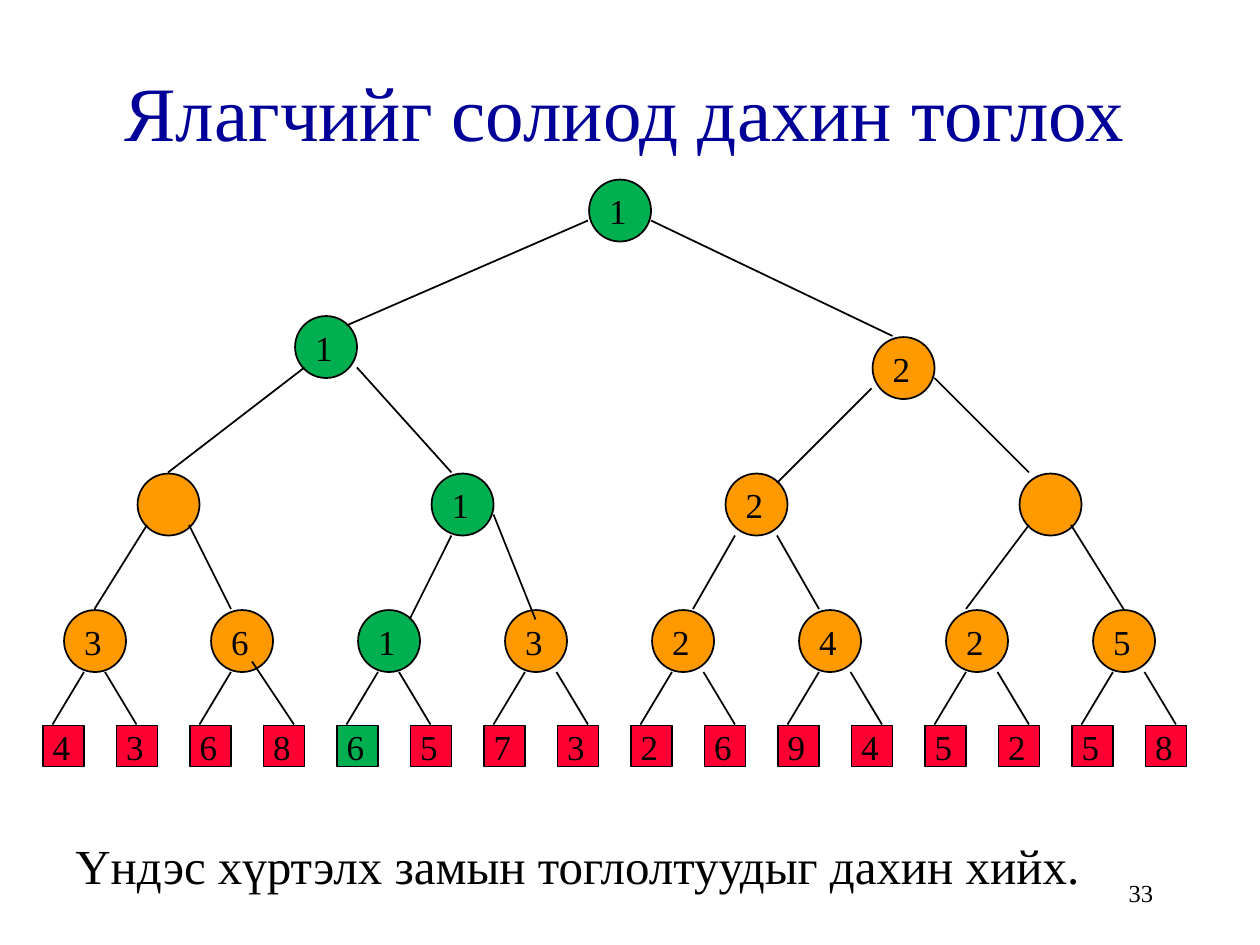
from dataclasses import dataclass

from lxml.etree import SubElement
from pptx import Presentation
from pptx.dml.color import RGBColor
from pptx.enum.shapes import MSO_CONNECTOR, MSO_SHAPE
from pptx.enum.text import MSO_ANCHOR, PP_ALIGN
from pptx.oxml.ns import qn
from pptx.util import Pt


@dataclass(frozen=True)
class Theme:
    font: str = "Times New Roman"
    title: str = "000099"
    ink: str = "000000"
    match: str = "FF9900"
    player: str = "FF0033"
    replayed: str = "00B050"
    title_pt: int = 44
    caption_pt: int = 28
    label_pt: int = 20
    number_pt: int = 14
    line_pt: int = 1


THEME = Theme()
EMU_PER_PX = 7620  # 120 px to the inch
NODE, LEAF = 59, 39
LEAF_STEP = 70

PLAYERS = "4 3 6 8 6 5 7 3 2 6 9 4 5 2 5 8".split()
REPLAYED_PLAYER = 4

# Matches from the root down: x, y, winner, replayed
MATCHES = [
    (520, 0, "1", True),
    (240, 130, "1", True), (790, 150, "2", False),
    (90, 280, "", False), (370, 280, "1", True),
    (650, 280, "2", False), (930, 280, "", False),
] + [(20 + 2 * LEAF_STEP * i, 410, winner, i == 2)
     for i, winner in enumerate("36132425")]

# Branches between matches: x1, y1, x2, y2
BRANCHES = [
    (520, 40, 290, 140), (580, 40, 810, 150),
    (250, 180, 120, 280), (300, 180, 390, 280),
    (790, 200, 700, 290), (850, 190, 940, 280),
    (100, 330, 50, 410), (140, 330, 180, 410),
    (390, 340, 350, 420), (430, 320, 470, 420),
    (660, 340, 620, 410), (700, 340, 740, 410),
    (940, 330, 880, 410), (980, 330, 1030, 410),
]


def px(n):
    return n * EMU_PER_PX


def write(tf, text, size, color=THEME.ink, align=PP_ALIGN.LEFT,
          anchor=MSO_ANCHOR.TOP):
    tf.text = text
    tf.vertical_anchor = anchor
    p = tf.paragraphs[0]
    p.alignment = align
    for r in p.runs:
        r.font.name = THEME.font
        r.font.size = Pt(size)
        r.font.color.rgb = RGBColor.from_string(color)


def add_labelled(s, kind, x, y, size, fill, label):
    sp = s.shapes.add_shape(kind, px(x), px(y), px(size), px(size))
    sp.shadow.inherit = False
    sp.fill.solid()
    sp.fill.fore_color.rgb = RGBColor.from_string(fill)
    sp.line.color.rgb = RGBColor.from_string(THEME.ink)
    sp.line.width = Pt(THEME.line_pt)
    if label:
        tf = sp.text_frame
        tf.margin_left = tf.margin_top = tf.margin_bottom = 0
        tf.margin_right = px(4)
        write(tf, label, THEME.label_pt, align=PP_ALIGN.CENTER,
              anchor=MSO_ANCHOR.MIDDLE)


def add_branch(s, x1, y1, x2, y2):
    line = s.shapes.add_connector(MSO_CONNECTOR.STRAIGHT,
                                  px(x1), px(y1), px(x2), px(y2))
    line.line.color.rgb = RGBColor.from_string(THEME.ink)
    line.line.width = Pt(THEME.line_pt)
    SubElement(line._element.spPr, qn("a:effectLst"))


def player_branches():
    """Return the two branches from each first-round match to its players."""
    branches = []
    for i in range(len(PLAYERS) // 2):
        x = 2 * LEAF_STEP * i
        right = x + (70 if i > 2 else 60)
        branches.append((x + 40, 470, x + 10, 520))
        if i == 1:
            branches.append((right, 460, right + 40, 520))
        else:
            branches.append((right, 470, right + 30, 520))
    return branches


def add_tree(s, left, top):
    for i, player in enumerate(PLAYERS):
        fill = THEME.replayed if i == REPLAYED_PLAYER else THEME.player
        add_labelled(s, MSO_SHAPE.RECTANGLE, left + LEAF_STEP * i + 1,
                     top + 521, LEAF, fill, player)
    for x, y, winner, replayed in MATCHES:
        fill = THEME.replayed if replayed else THEME.match
        add_labelled(s, MSO_SHAPE.OVAL, left + x + 1, top + y + 1,
                     NODE, fill, winner)
    for x1, y1, x2, y2 in BRANCHES + player_branches():
        add_branch(s, left + x1, top + y1, left + x2, top + y2)


def add_title(s, text, x, y, w, h):
    title = s.shapes.title
    title.left, title.top, title.width, title.height = map(px, (x, y, w, h))
    write(title.text_frame, text, THEME.title_pt, THEME.title,
          PP_ALIGN.CENTER, MSO_ANCHOR.MIDDLE)


def add_text(s, text, x, y, w, h, size, **style):
    tf = s.shapes.add_textbox(px(x), px(y), px(w), px(h)).text_frame
    tf.word_wrap = True
    write(tf, text, size, **style)


def main():
    prs = Presentation()
    prs.slide_width, prs.slide_height = px(1200), px(900)
    s = prs.slides.add_slide(prs.slide_layouts[5])
    add_title(s, "Ялагчийг солиод дахин тоглох", 10, 30, 1170, 150)
    add_tree(s, 40, 170)
    add_text(s, "Үндэс хүртэлх замын тоглолтуудыг дахин хийх.",
             60, 790, 1060, 68, THEME.caption_pt)
    add_text(s, "33", 860, 820, 250, 60, THEME.number_pt,
             align=PP_ALIGN.RIGHT, anchor=MSO_ANCHOR.MIDDLE)
    prs.save("out.pptx")


if __name__ == "__main__":
    main()
